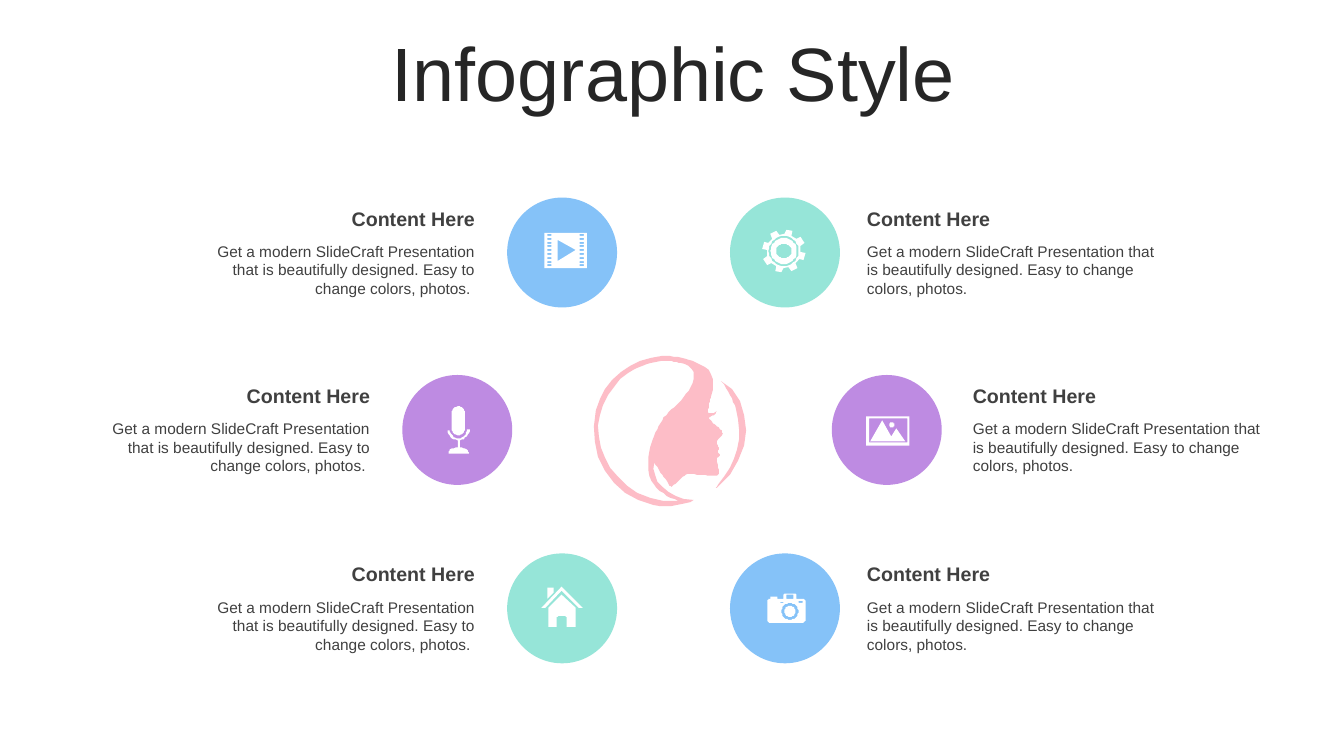
"""Build a slide of six icon notes around a central emblem."""
import math

import pptx
import pptx.dml.color
import pptx.enum.shapes
import pptx.enum.text
import pptx.util

RGBColor = pptx.dml.color.RGBColor
ALIGN = pptx.enum.text.PP_ALIGN
PX = 9144
FONT = "Arial"
DARK = RGBColor(0x26, 0x26, 0x26)
GREY = RGBColor(0x40, 0x40, 0x40)
WHITE = RGBColor(0xFF, 0xFF, 0xFF)
BLUE = RGBColor(0x85, 0xC2, 0xF8)
MINT = RGBColor(0x96, 0xE5, 0xD8)
PLUM = RGBColor(0xBE, 0x8B, 0xE2)
PINK = RGBColor(0xFD, 0xBD, 0xC7)
HEAD = "Content Here"
BODY = ("Get a modern SlideCraft Presentation that is beautifully designed. "
        "Easy to change colors, photos.")
NOTES = [
    (503, 190, 196, BLUE, ALIGN.RIGHT),
    (724, 850, 196, MINT, ALIGN.LEFT),
    (399, 86, 372, PLUM, ALIGN.RIGHT),
    (825, 955, 372, PLUM, ALIGN.LEFT),
    (503, 190, 549, MINT, ALIGN.RIGHT),
    (724, 850, 549, BLUE, ALIGN.LEFT),
]


def px(size):
    """Turn px into EMU."""
    return pptx.util.Emu(size * PX)


def trace(*steps):
    """Turn points and six-number curves into a list of points."""
    points = [steps[0]]
    for step in steps[1:]:
        if len(step) == 2:
            points.append(step)
            continue
        ends = points[-1] + step
        for i in range(1, 9):
            t = i / 8
            parts = ((1 - t) ** 3, 3 * t * (1 - t) ** 2, 3 * t * t * (1 - t), t ** 3)
            points.append(tuple(sum(p * v for p, v in zip(parts, ends[axis::2]))
                                for axis in (0, 1)))
    return points


def box(left, top, right, base):
    """Give the corners of a box."""
    return [(left, top), (right, top), (right, base), (left, base)]


def polar(x, y, reach, angle):
    """Give the point at an angle in degrees."""
    turn = math.radians(angle)
    return x + reach * math.cos(turn), y + reach * math.sin(turn)


def ring(x, y, reach):
    """Give the points of a circle."""
    return [polar(x, y, reach, angle) for angle in range(0, 360, 10)]


def paint(shape, color):
    """Fill a shape flat, with no line or shadow."""
    shape.fill.solid()
    shape.fill.fore_color.rgb = color
    shape.line.fill.background()
    shape.shadow.inherit = False


def draw(slide, loops, color=WHITE):
    """Draw closed loops as one freeform, inner loops being holes."""
    pen = slide.shapes.build_freeform(*loops[0][0], scale=PX)
    for i, loop in enumerate(loops):
        if i:
            pen.move_to(*loop[0])
        pen.add_line_segments(loop[1:], close=True)
    paint(pen.convert_to_shape(), color)


def style(frame, text, size, color, align, bold=False):
    """Set one paragraph of text and format it."""
    frame.word_wrap = True
    frame.text = text
    para = frame.paragraphs[0]
    para.alignment = align
    font = para.runs[0].font
    font.name, font.size, font.bold = FONT, pptx.util.Pt(size), bold
    font.color.rgb = color


def place(shape, left, top, width, height):
    """Move and size a shape."""
    shape.left, shape.top = px(left), px(top)
    shape.width, shape.height = px(width), px(height)


def label(slide, left, top, width, height, *look):
    """Add a text box."""
    area = slide.shapes.add_textbox(px(left), px(top), px(width), px(height))
    style(area.text_frame, *look)


def note(slide, left, edge, top, color, align):
    """Add a disc with its heading and text."""
    oval = pptx.enum.shapes.MSO_SHAPE.OVAL
    disc = slide.shapes.add_shape(oval, px(left), px(top), px(109), px(109))
    paint(disc, color)
    mirror = align == ALIGN.RIGHT
    width = 291 if mirror else 308
    label(slide, edge, top + 4, width, 35, HEAD, 14, GREY, align, True)
    label(slide, edge, top + 39, width, 66, BODY + " " * mirror, 11, GREY, align)


def film():
    """Give the loops of the film strip."""
    holes = [box(x, 232 + row * 3.8, x + 4, 234 + row * 3.8)
             for row in range(9) for x in (543, 575)]
    return [box(540, 231, 582, 266), [(553, 238), (553, 259), (571, 248)]] + holes


def gear():
    """Give the loops of the gear."""
    x, y = 777.5, 249
    teeth = [polar(x, y, reach, tooth * 45 - 75 + turn) for tooth in range(8)
             for reach, turn in ((17, -13), (21.5, -9), (21.5, 9), (17, 13))]
    return [teeth] + [ring(x, y, reach) for reach in (15, 13, 7.5)]


def mic():
    """Give the loops of the microphone."""
    stand = trace((466, 426), (466, 431, 461, 436, 456, 437), (456, 444),
                  (462, 444, 465, 447, 465, 450), (445, 450),
                  (444, 448, 447, 444, 454, 444), (454, 437),
                  (448, 436, 444, 432, 444, 427), (446, 427),
                  (446, 431, 450, 435, 455, 435), (460, 434, 463, 431, 463, 426))
    head = trace((455, 403), (458, 403, 461, 406, 461, 409), (461, 426),
                 (461, 429, 458, 432, 455, 432), (451, 432, 448, 429, 448, 426),
                 (448, 409), (448, 406, 451, 403, 455, 403))
    return [stand, head]


def photo():
    """Give the loops of the framed photo."""
    hills = [(875, 417), (884, 433), (889, 425), (898, 438), (863, 438)]
    return [box(859, 413, 902, 442), box(862, 415, 900, 439), hills, ring(884.5, 421.5, 2.5)]


def house():
    """Give the loops of the house."""
    walls = trace((557, 590), (571, 603), (571, 622), (562, 622), (562, 613),
                  (562, 612, 561, 611, 560, 611), (555, 611),
                  (554, 611, 552, 612, 552, 613), (552, 622), (544, 622), (544, 603))
    stack = [(543, 583), (549, 583), (549, 588), (543, 594)]
    roof = [(557, 582), (578, 603), (574, 603), (557, 586), (541, 603), (537, 603)]
    return [walls, stack, roof]


def camera():
    """Give the loops of the camera."""
    case = trace((778, 589), (789, 589), (790, 590), (790, 594), (796, 594),
                 (797, 594, 799, 595, 799, 597), (799, 615),
                 (799, 616, 797, 618, 796, 618), (764, 618),
                 (762, 618, 761, 616, 761, 615), (761, 597),
                 (761, 595, 762, 594, 764, 594), (764, 592), (771, 592),
                 (771, 594), (777, 594), (777, 590))
    return [case, ring(783.5, 606.5, 8.5), ring(783.5, 606.5, 5.5),
            box(774, 597, 777, 598), box(792, 596, 796, 598), box(780, 590, 787, 594)]


def emblem():
    """Give the loops of the central profile."""
    arc = trace((715, 378), (749, 395, 747, 456, 713, 482), (711, 485, 708, 486, 712, 481),
                (730, 459, 738, 434, 730, 406), (727, 396, 722, 387, 715, 378))
    gap = trace((661, 358), (648, 358, 635, 362, 623, 370), (602, 385, 587, 415, 596, 444),
                (603, 470, 632, 501, 673, 497), (661, 493, 653, 487, 646, 477),
                (639, 463, 644, 445, 649, 432), (653, 423, 656, 416, 663, 409),
                (672, 402, 679, 394, 685, 384), (692, 373, 688, 363, 675, 360),
                (670, 359, 666, 358, 661, 358))
    face = trace((657, 353), (667, 353, 677, 354, 687, 358), (706, 365, 711, 374, 705, 394),
                 (704, 397, 703, 400, 703, 404), (702, 407, 702, 409, 703, 410),
                 (704, 410, 706, 411, 711, 408), (710, 411, 706, 413, 703, 414),
                 (702, 415, 709, 421, 711, 423), (716, 427, 720, 430, 712, 436),
                 (711, 438, 710, 438, 711, 440), (712, 442, 712, 443, 713, 444),
                 (714, 445, 712, 446, 712, 448), (712, 450, 715, 451, 713, 453),
                 (713, 454, 711, 453, 711, 456), (712, 463, 713, 467, 713, 469),
                 (713, 472, 710, 472, 708, 472), (701, 472, 689, 470, 682, 470),
                 (678, 471, 673, 477, 670, 480), (665, 484, 666, 484, 660, 475),
                 (655, 469, 653, 464, 649, 459), (645, 476, 661, 494, 688, 496),
                 (680, 501, 664, 503, 648, 501), (607, 493, 580, 449, 591, 407),
                 (599, 376, 627, 355, 657, 353))
    return [arc, gap, face]


def main():
    """Build and save the deck."""
    deck = pptx.Presentation()
    deck.slide_width, deck.slide_height = px(1333), px(750)
    slide = deck.slides.add_slide(deck.slide_layouts[5])
    title = slide.shapes.title
    place(title, 35, 37, 1266, 79)
    style(title.text_frame, "Infographic Style", 54, DARK, ALIGN.CENTER)
    title.text_frame.auto_size = pptx.enum.text.MSO_AUTO_SIZE.NONE
    title.text_frame.vertical_anchor = pptx.enum.text.MSO_ANCHOR.MIDDLE
    title.text_frame.paragraphs[0].line_spacing = 0.9
    for item in NOTES:
        note(slide, *item)
    for icon in (film, gear, mic, photo, house, camera):
        draw(slide, icon())
    draw(slide, emblem(), PINK)
    deck.save("out.pptx")


if __name__ == "__main__":
    main()
